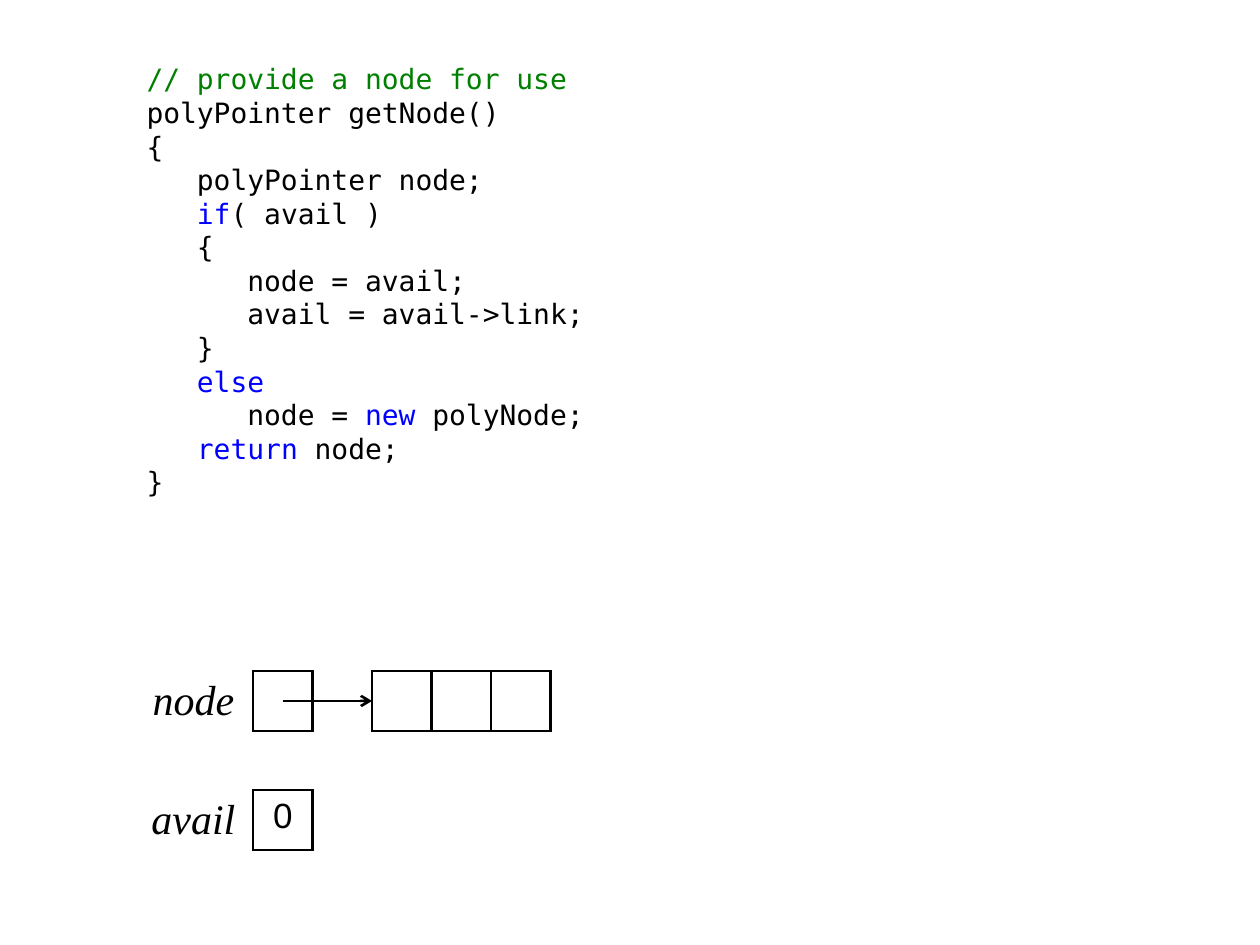
from dataclasses import dataclass
from typing import Any

from pptx import Presentation
from pptx.dml.color import RGBColor
from pptx.enum.shapes import MSO_CONNECTOR as Conn
from pptx.enum.text import MSO_ANCHOR as Anchor, MSO_AUTO_SIZE as AutoSize, PP_ALIGN as Align
from pptx.oxml.ns import qn
from pptx.util import Cm, Pt
from lxml.etree import SubElement

COLORS = {"text": "000000", "comment": "008000", "keyword": "0000FF"}
CODE = {"name": "DejaVu Sans Mono", "size": Pt(16)}
LABEL = {"name": "Times New Roman", "size": Pt(24), "italic": True}
VALUE = {"name": "Arial", "size": Pt(20)}

CELL = 1.2
LABEL_X, LABEL_W = 2.7, 2 * CELL
POINTER_X = LABEL_X + LABEL_W
RECORD_X = POINTER_X + 2 * CELL
NODE_Y = 13.53
AVAIL_Y = NODE_Y + 2 * CELL
LINE_PT = 1.5

LISTING = [
    [("// provide a node for use", "comment")],
    [("polyPointer getNode()", "text")],
    [("{", "text")],
    [("   polyPointer node;", "text")],
    [("   ", "text"), ("if", "keyword"), ("( avail )", "text")],
    [("   {", "text")],
    [("      node = avail;", "text")],
    [("      avail = avail->link;", "text")],
    [("   }", "text")],
    [("   ", "text"), ("else", "keyword")],
    [("      node = ", "text"), ("new ", "keyword"), ("polyNode;", "text")],
    [("   ", "text"), ("return", "keyword"), (" node;", "text")],
    [("}", "text")],
]


@dataclass
class Label:
    text: str
    y: float


@dataclass
class Boxes:
    x: float
    y: float
    values: list[str]


LABELS = [Label("avail", AVAIL_Y), Label("node", NODE_Y)]
BOXES = [
    Boxes(POINTER_X, AVAIL_Y, ["0"]),
    Boxes(RECORD_X, NODE_Y, ["", "", ""]),
    Boxes(POINTER_X, NODE_Y, [""]),
]


def apply(target: Any, values: dict[str, Any]) -> None:
    for key, value in values.items():
        setattr(target, key, value)


def add_run(p: Any, text: str, fmt: dict[str, Any], color: str = "text") -> None:
    r = p.add_run()
    r.text = text
    apply(r.font, fmt)
    r.font.color.rgb = RGBColor.from_string(COLORS[color])


def fill_code(sp: Any) -> None:
    apply(sp, {"left": Cm(LABEL_X), "top": Cm(1.12), "width": Cm(14.4), "height": Cm(11.2)})
    tf = sp.text_frame
    apply(tf, {"auto_size": AutoSize.NONE, "vertical_anchor": Anchor.TOP, "word_wrap": True})
    for i, line in enumerate(LISTING):
        p = tf.add_paragraph() if i else tf.paragraphs[0]
        pPr = p._p.get_or_add_pPr()
        pPr.set("marL", "0")
        pPr.set("indent", "0")
        SubElement(pPr, qn("a:buNone"))
        apply(p, {"space_before": Pt(0), "line_spacing": Pt(19.2)})
        for text, color in line:
            add_run(p, text, CODE, color)


def add_label(slide: Any, label: Label) -> None:
    sp = slide.shapes.add_textbox(Cm(LABEL_X), Cm(label.y), Cm(LABEL_W), Cm(CELL))
    tf = sp.text_frame
    apply(tf, {"word_wrap": False, "vertical_anchor": Anchor.MIDDLE,
               "margin_top": 0, "margin_bottom": Cm(0.1)})
    p = tf.paragraphs[0]
    p.alignment = Align.CENTER
    add_run(p, label.text, LABEL)


def add_boxes(slide: Any, boxes: Boxes) -> None:
    n = len(boxes.values)
    table = slide.shapes.add_table(1, n, Cm(boxes.x), Cm(boxes.y), Cm(n * CELL), Cm(CELL)).table
    apply(table, {"first_row": False, "horz_banding": False})
    for cell, value in zip(table.iter_cells(), boxes.values):
        tcPr = cell._tc.get_or_add_tcPr()
        for side in ("lnL", "lnR", "lnT", "lnB"):
            ln = SubElement(tcPr, qn(f"a:{side}"), w=str(Pt(LINE_PT)))
            SubElement(SubElement(ln, qn("a:solidFill")), qn("a:srgbClr"), val=COLORS["text"])
        cell.fill.background()
        if value:
            p = cell.text_frame.paragraphs[0]
            p.alignment = Align.CENTER
            add_run(p, value, VALUE)


def add_arrow(slide: Any, x1: float, x2: float, y: float) -> None:
    c = slide.shapes.add_connector(Conn.STRAIGHT, Cm(x1), Cm(y), Cm(x2), Cm(y))
    c.line.color.rgb = RGBColor.from_string(COLORS["text"])
    c.line.width = Pt(LINE_PT)
    SubElement(c.line._get_or_add_ln(), qn("a:tailEnd"), type="arrow")
    SubElement(c._element.spPr, qn("a:effectLst"))


def main() -> None:
    prs = Presentation()
    apply(prs, {"slide_width": Cm(25.4), "slide_height": Cm(19.05)})
    slide = prs.slides.add_slide(prs.slide_layouts[1])
    title = slide.shapes.title._element
    title.getparent().remove(title)
    fill_code(slide.placeholders[1])
    for label in LABELS:
        add_label(slide, label)
    for boxes in BOXES:
        add_boxes(slide, boxes)
    add_arrow(slide, POINTER_X + CELL / 2, RECORD_X, NODE_Y + CELL / 2)
    prs.save("out.pptx")


if __name__ == "__main__":
    main()
